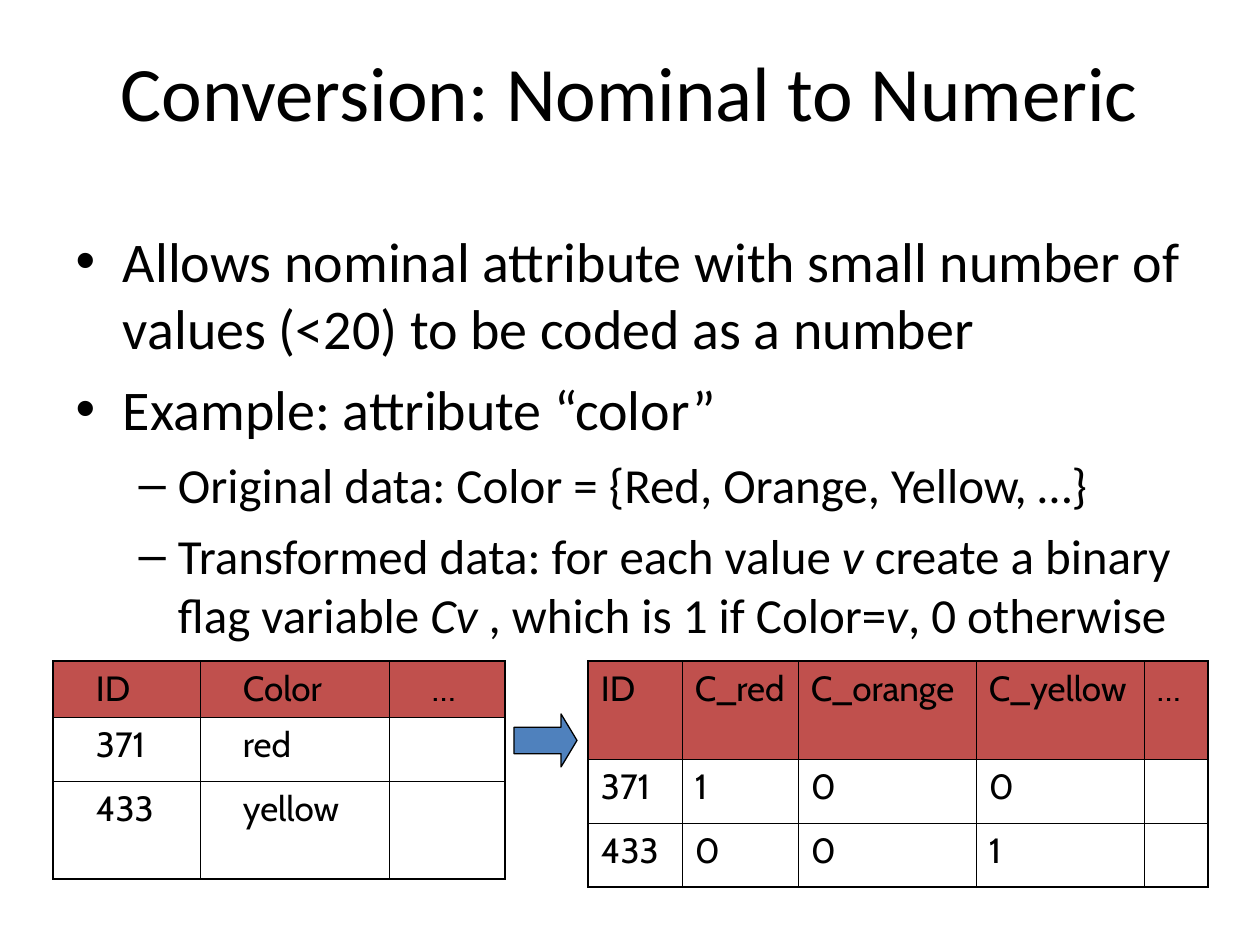
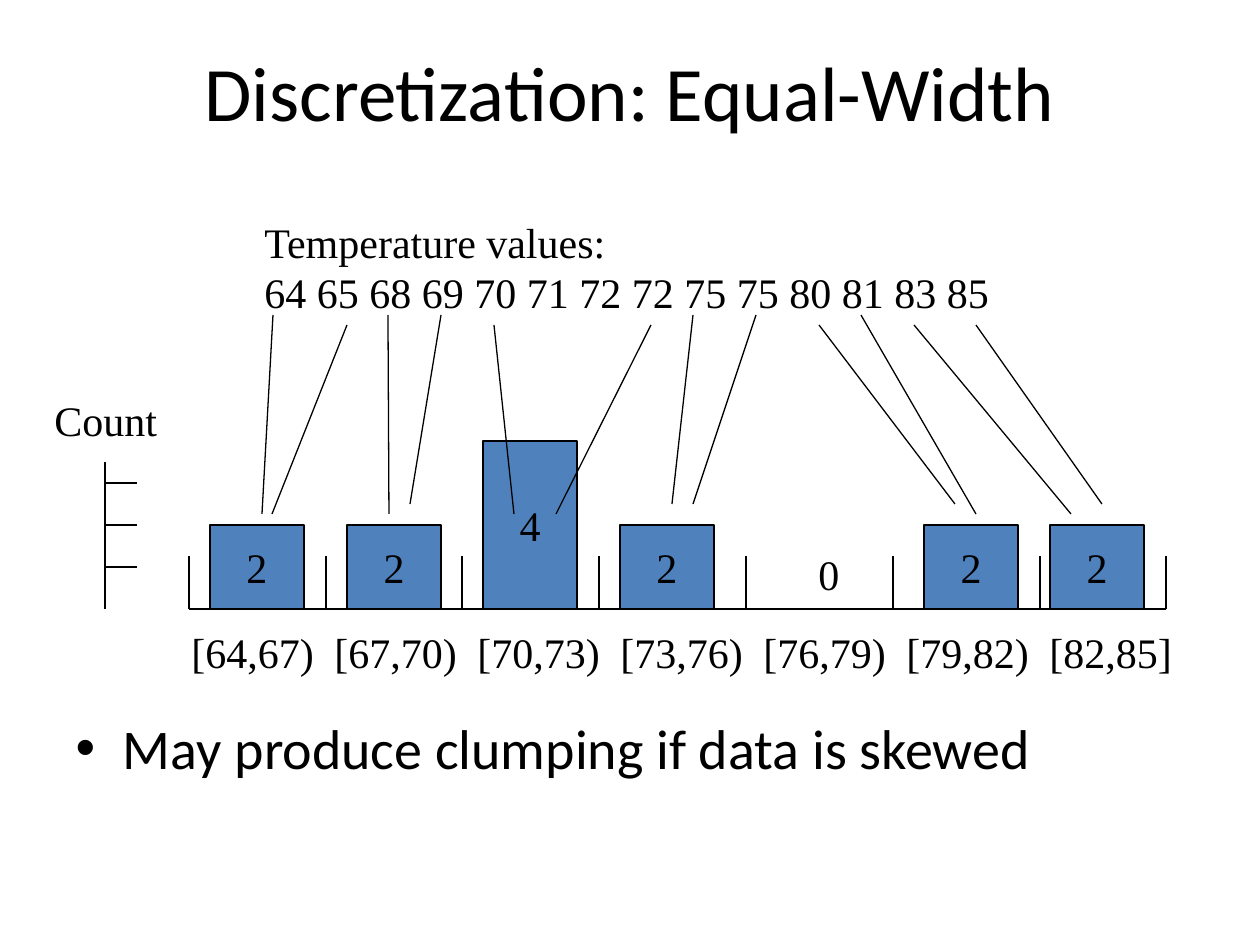
from itertools import pairwise

from lxml.etree import SubElement
from pptx import Presentation
from pptx.dml.color import RGBColor
from pptx.enum.shapes import MSO_CONNECTOR, MSO_SHAPE
from pptx.enum.text import MSO_ANCHOR, MSO_AUTO_SIZE, PP_ALIGN
from pptx.oxml.ns import qn
from pptx.util import Emu, Pt

COLORS = {"ink": "000000", "header": "C0504D", "accent": "4F81BD"}
HEADING_FONT, TABLE_FONT, CHART_FONT = "Calibri", "Cabin", "Times New Roman"
BODY_STYLES = {0: (32, 8), 1: (28, 7)}
OUTER, INNER = 1.08, 0.45
BASELINE, COUNT_STEP, BAR_WIDTH = 609, 42, 94


def px(n):
    return Emu(round(n * 914400 / 126))


def box(*lengths):
    return [px(n) for n in lengths]


def color(name):
    return RGBColor.from_string(COLORS[name])


def style(p, size, font, align=PP_ALIGN.LEFT):
    p.alignment = align
    p.font.size = Pt(size)
    p.font.name = font
    p.font.color.rgb = color("ink")


def place(sp, left, top, width, height):
    sp.left, sp.top, sp.width, sp.height = box(left, top, width, height)
    tf = sp.text_frame
    tf.word_wrap = True
    tf.auto_size = MSO_AUTO_SIZE.NONE
    tf.vertical_anchor = MSO_ANCHOR.TOP
    return tf


def add_slide(prs, title, bullets, body_top, body_height):
    s = prs.slides.add_slide(prs.slide_layouts[1])
    tf = place(s.shapes.title, 63, 38, 1134, 157)
    tf.text = title
    style(tf.paragraphs[0], 44, HEADING_FONT, PP_ALIGN.CENTER)
    tf = place(s.placeholders[1], 63, body_top, 1134, body_height)
    for i, (level, runs) in enumerate(bullets):
        p = tf.add_paragraph() if i else tf.paragraphs[0]
        size, gap = BODY_STYLES[level]
        p.level = level
        p.space_before = Pt(gap if i else 0)
        style(p, size, HEADING_FONT)
        for j, text in enumerate(runs):
            r = p.add_run()
            r.text = text
            if j % 2:
                r.font.italic = True
    return s


def add_text(s, lines, left, top, width, height, tab_step=0):
    tf = s.shapes.add_textbox(*box(left, top, width, height)).text_frame
    tf.word_wrap = True
    for i, line in enumerate(lines):
        p = tf.add_paragraph() if i else tf.paragraphs[0]
        p.text = line
        if tab_step:
            tabs = SubElement(p._p.get_or_add_pPr(), qn("a:tabLst"))
            for n in range(1, line.count("\t") + 1):
                SubElement(tabs, qn("a:tab"), pos=str(px(n * tab_step)), algn="l")
        style(p, 24, CHART_FONT)


def add_block(s, kind, left, top, width, height):
    sp = s.shapes.add_shape(kind, *box(left, top, width, height))
    sp.shadow.inherit = False
    sp.fill.solid()
    sp.fill.fore_color.rgb = color("accent")
    sp.line.color.rgb = color("ink")
    sp.line.width = Pt(0.75)
    return sp


def add_bar(s, left, count):
    height = count * COUNT_STEP
    sp = add_block(s, MSO_SHAPE.RECTANGLE, left, BASELINE - height, BAR_WIDTH, height)
    tf = sp.text_frame
    tf.word_wrap = False
    tf.vertical_anchor = MSO_ANCHOR.MIDDLE
    tf.text = str(count)
    style(tf.paragraphs[0], 24, CHART_FONT, PP_ALIGN.CENTER)


def add_line(s, x1, y1, x2, y2):
    line = s.shapes.add_connector(MSO_CONNECTOR.STRAIGHT, *box(x1, y1, x2, y2))
    line.line.color.rgb = color("ink")
    line.line.width = Pt(0.75)
    SubElement(line._element.spPr, qn("a:effectLst"))


def set_borders(cell, widths):
    for side, width in zip("LRTB", widths):
        ln = SubElement(cell._tc.get_or_add_tcPr(), qn(f"a:ln{side}"), w=str(Pt(width)))
        fill = SubElement(ln, qn("a:solidFill"))
        SubElement(fill, qn("a:srgbClr"), val=COLORS["ink"])


def add_data_table(s, rows, left, top, widths, heights, margin):
    n_rows, n_cols = len(heights), len(widths)
    frame = s.shapes.add_table(
        n_rows, n_cols, *box(left, top, sum(widths), sum(heights)))
    table = frame.table
    table.first_row = table.horz_banding = False
    for column, width in zip(table.columns, widths):
        column.width = px(width)
    for row, height in zip(table.rows, heights):
        row.height = px(height)
    for i, row in enumerate(rows):
        for j, text in enumerate(row):
            cell = table.cell(i, j)
            cell.margin_left = cell.margin_right = px(margin)
            edges = (j == 0, j == n_cols - 1, i == 0, i == n_rows - 1)
            set_borders(cell, [OUTER if edge else INNER for edge in edges])
            if i == 0:
                cell.fill.solid()
                cell.fill.fore_color.rgb = color("header")
            else:
                cell.fill.background()
            cell.text = text
            style(cell.text_frame.paragraphs[0], 20, TABLE_FONT)


def build_conversion(prs):
    bullets = [
        (0, ["Allows nominal attribute with small number of values (<20) "
             "to be coded as a number"]),
        (0, ["Example: attribute “color”"]),
        (1, ["Original data: Color = {Red, Orange, Yellow, …}"]),
        (1, ["Transformed data: for each value ", "v",
             " create a binary flag variable ", "Cv",
             " , which is 1 if Color=", "v", ", 0 otherwise"]),
    ]
    s = add_slide(prs, "Conversion: Nominal to Numeric", bullets, 220, 624)
    nominal = [["ID", "Color", "…"], ["371", "red", ""], ["433", "yellow", ""]]
    add_data_table(s, nominal, 53, 661, [147, 189, 116], [56, 64, 98], 43)
    arrow = add_block(s, MSO_SHAPE.RIGHT_ARROW, 514, 714, 63, 53)
    arrow.adjustments[1] = 0.3
    flags = [["ID", "C_red", "C_orange", "C_yellow", "…"],
             ["371", "1", "0", "0", ""],
             ["433", "0", "0", "1", ""]]
    add_data_table(s, flags, 588, 661, [94, 116, 178, 168, 64], [98, 64, 64], 13)


def build_discretization(prs):
    bullets = [(0, ["May produce clumping if data is skewed"])]
    s = add_slide(prs, "Discretization: Equal-Width", bullets, 707, 137)

    bin_edges = [189, 326, 462, 599, 746, 893, 1040, 1166]
    add_line(s, bin_edges[0], BASELINE, bin_edges[-1], BASELINE)
    for x in bin_edges:
        add_line(s, x, BASELINE, x, 556)
    limits = range(64, 86, 3)
    intervals = [f"[{low},{high}{']' if high == limits[-1] else ')'}"
                 for low, high in pairwise(limits)]
    add_text(s, ["\t".join(intervals)], 179, 620, 1012, 63, tab_step=143)

    count_axis = 105
    add_text(s, ["Count"], 42, 388, 132, 63)
    add_line(s, count_axis, BASELINE, count_axis, 462)
    for n in range(1, 4):
        y = BASELINE - n * COUNT_STEP
        add_line(s, count_axis, y, count_axis + 32, y)

    bars = [(210, 2), (347, 2), (483, 4), (620, 2), (924, 2), (1050, 2)]
    for left, count in bars:
        add_bar(s, left, count)
    add_text(s, ["0"], 806, 542, 46, 63)

    temperatures = [64, 65, 68, 69, 70, 71, 72, 72, 75, 75, 80, 81, 83, 85]
    add_text(s, ["Temperature values:", " ".join(map(str, temperatures))],
             252, 210, 750, 164)
    leaders = [
        (273, 315, 262, 514), (347, 325, 272, 514),
        (388, 315, 389, 514), (441, 315, 410, 504),
        (494, 325, 514, 514), (651, 325, 556, 514),
        (693, 315, 672, 504), (756, 315, 693, 504),
        (819, 325, 955, 504), (861, 315, 976, 514),
        (914, 325, 1071, 514), (976, 325, 1102, 504),
    ]
    for leader in leaders:
        add_line(s, *leader)


def main():
    prs = Presentation()
    prs.slide_width, prs.slide_height = box(1260, 945)
    build_conversion(prs)
    build_discretization(prs)
    prs.save("out.pptx")


if __name__ == "__main__":
    main()
